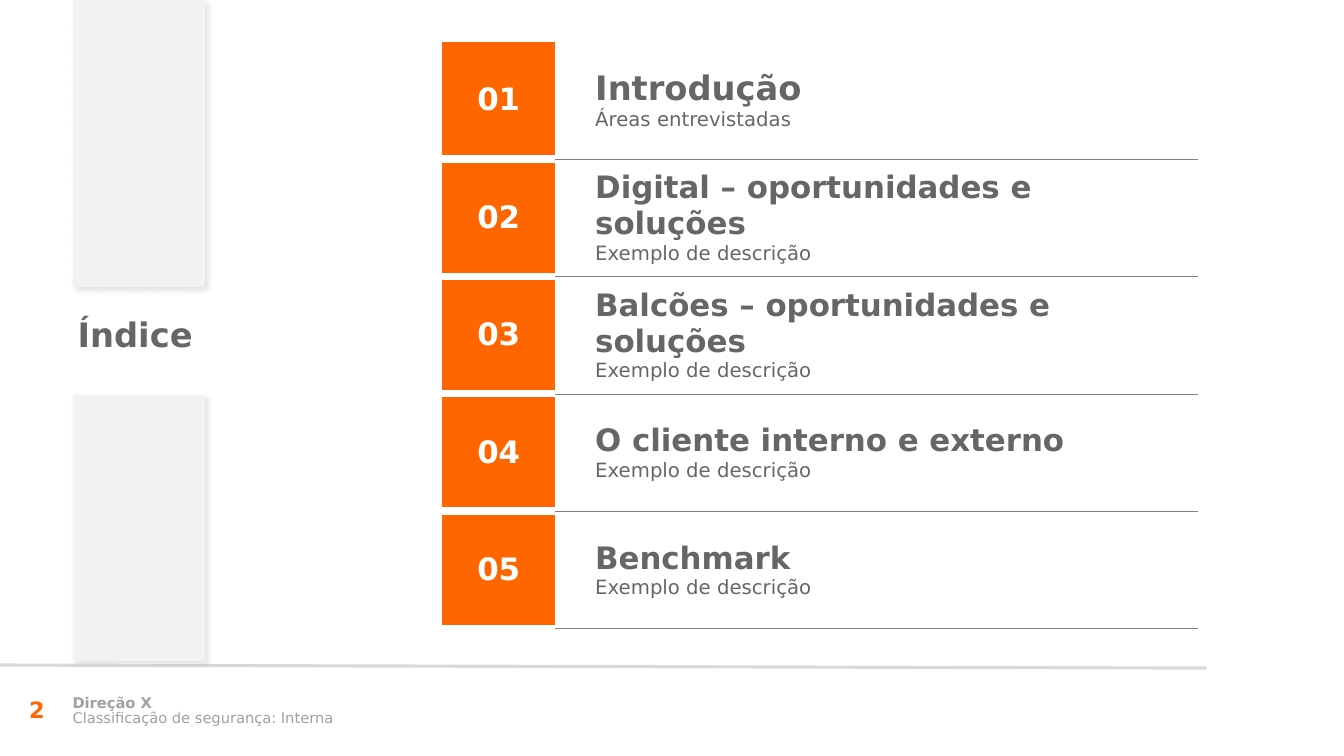
from lxml import etree
from pptx import Presentation
from pptx.dml.color import RGBColor
from pptx.enum.shapes import MSO_CONNECTOR, MSO_SHAPE
from pptx.enum.text import MSO_ANCHOR, PP_ALIGN
from pptx.oxml import parse_xml
from pptx.oxml.ns import nsdecls, qn
from pptx.util import Inches, Pt

FONT = "DejaVu Sans"
ORANGE = RGBColor(0xFF, 0x66, 0x00)
WHITE = RGBColor(0xFF, 0xFF, 0xFF)
TEXT_GRAY = RGBColor(0x66, 0x66, 0x66)
FOOTER_GRAY = RGBColor(0xA1, 0xA1, 0xA1)
RULE_GRAY = RGBColor(0xD9, 0xD9, 0xD9)
BLOCK_GRAY = RGBColor(0xF2, 0xF2, 0xF2)
SHADOW_GRAY = RGBColor(0xBF, 0xBF, 0xBF)
BORDER_GRAY = RGBColor(0x81, 0x81, 0x81)

CHAPTERS = [
    ("Introdução", "Áreas entrevistadas", 24),
    ("Digital – oportunidades e soluções", "Exemplo de descrição", 22),
    ("Balcões – oportunidades e soluções", "Exemplo de descrição", 22),
    ("O cliente interno e externo", "Exemplo de descrição", 22),
    ("Benchmark", "Exemplo de descrição", 22),
]


def style_paragraph(paragraph, text, size, color, bold=False):
    paragraph.text = text
    font = paragraph.font
    font.name, font.size, font.bold = FONT, Pt(size), bold
    font.color.rgb = color


def add_label(slide, left, top, width, height, text, size, color, bold=False):
    box = slide.shapes.add_textbox(Inches(left), Inches(top), Inches(width), Inches(height))
    frame = box.text_frame
    frame.word_wrap = True
    frame.vertical_anchor = MSO_ANCHOR.MIDDLE
    style_paragraph(frame.paragraphs[0], text, size, color, bold)
    return frame.paragraphs[0]


def add_block(slide, left, top, width, height):
    """Pale block with a soft shadow."""
    block = slide.shapes.add_shape(
        MSO_SHAPE.RECTANGLE, Inches(left), Inches(top), Inches(width), Inches(height))
    block.fill.solid()
    block.fill.fore_color.rgb = BLOCK_GRAY
    block.line.fill.background()
    block.shadow.inherit = False
    effects = block._element.spPr.find(qn("a:effectLst"))
    effects.append(parse_xml(
        f'<a:outerShdw {nsdecls("a")} blurRad="{Pt(4)}" dist="{Pt(3)}" dir="2700000" '
        f'algn="tl" rotWithShape="0"><a:srgbClr val="{SHADOW_GRAY}">'
        '<a:alpha val="43000"/></a:srgbClr></a:outerShdw>'))


def add_side_panel(slide, left, width):
    add_block(slide, left, 0, width, 2.84)
    add_block(slide, left, 3.91, width, 2.63)
    add_label(slide, left - 0.05, 3.06, 1.98, 0.5, "Índice", 24, TEXT_GRAY, True)


def add_border(cell, side, color, width):
    cell._tc.get_or_add_tcPr().append(parse_xml(
        f'<a:{side} {nsdecls("a")} w="{Pt(width)}"><a:solidFill>'
        f'<a:srgbClr val="{color}"/></a:solidFill></a:{side}>'))


def add_index(slide, left, top, width, height):
    """Table with a numbered orange cell and a title for each chapter."""
    number_width = 1.13
    table = slide.shapes.add_table(
        len(CHAPTERS), 2, Inches(left), Inches(top), Inches(width), Inches(height)).table
    table.first_row = table.horz_banding = False
    table.columns[0].width = Inches(number_width)
    table.columns[1].width = Inches(width - number_width)

    for row, (title, description, size) in enumerate(CHAPTERS):
        number, chapter = table.cell(row, 0), table.cell(row, 1)
        number.vertical_anchor = chapter.vertical_anchor = MSO_ANCHOR.MIDDLE

        # Borders go before fills
        add_border(number, "lnT", WHITE, 6 if row else 1)
        add_border(number, "lnB", WHITE, 6)
        if row:
            add_border(chapter, "lnT", BORDER_GRAY, 0.25)
        else:
            add_border(chapter, "lnT", WHITE, 1)
        add_border(chapter, "lnB", BORDER_GRAY, 0.25)
        number.fill.solid()
        number.fill.fore_color.rgb = ORANGE
        chapter.fill.background()

        # Texts
        paragraph = number.text_frame.paragraphs[0]
        style_paragraph(paragraph, f"{row + 1:02}", 22, WHITE, True)
        paragraph.alignment = PP_ALIGN.CENTER
        frame = chapter.text_frame
        style_paragraph(frame.paragraphs[0], title, size, TEXT_GRAY, True)
        style_paragraph(frame.add_paragraph(), description, 14, TEXT_GRAY)
        for paragraph in frame.paragraphs:
            paragraph._p.get_or_add_pPr().set("marL", str(Inches(0.29)))


def add_footer(slide, top, width):
    rule = slide.shapes.add_connector(
        MSO_CONNECTOR.STRAIGHT, 0, Inches(top), Inches(width), Inches(top + 0.03))
    rule.line.color.rgb = RULE_GRAY
    rule.line.width = Pt(2.25)
    etree.SubElement(rule._element.spPr, qn("a:effectLst"))

    lines = [("Direção X", 0.26, True), ("Classificação de segurança: Interna", 0.41, False)]
    for text, offset, bold in lines:
        paragraph = add_label(
            slide, 0.62, top + offset, 7.53, 0.25, text, 10.5, FOOTER_GRAY, bold)
        paragraph.line_spacing = 0.85
    add_label(slide, 0.19, top + 0.24, 0.69, 0.4, "2", 16, ORANGE, True)


def main():
    presentation = Presentation()
    presentation.slide_width = Inches(13.3)
    presentation.slide_height = Inches(7.48)
    slide = presentation.slides.add_slide(presentation.slide_layouts[6])
    add_footer(slide, 6.58, 11.94)
    add_side_panel(slide, 0.72, 1.31)
    add_index(slide, 4.37, 0.41, 7.48, 5.81)
    presentation.save("out.pptx")


if __name__ == "__main__":
    main()
